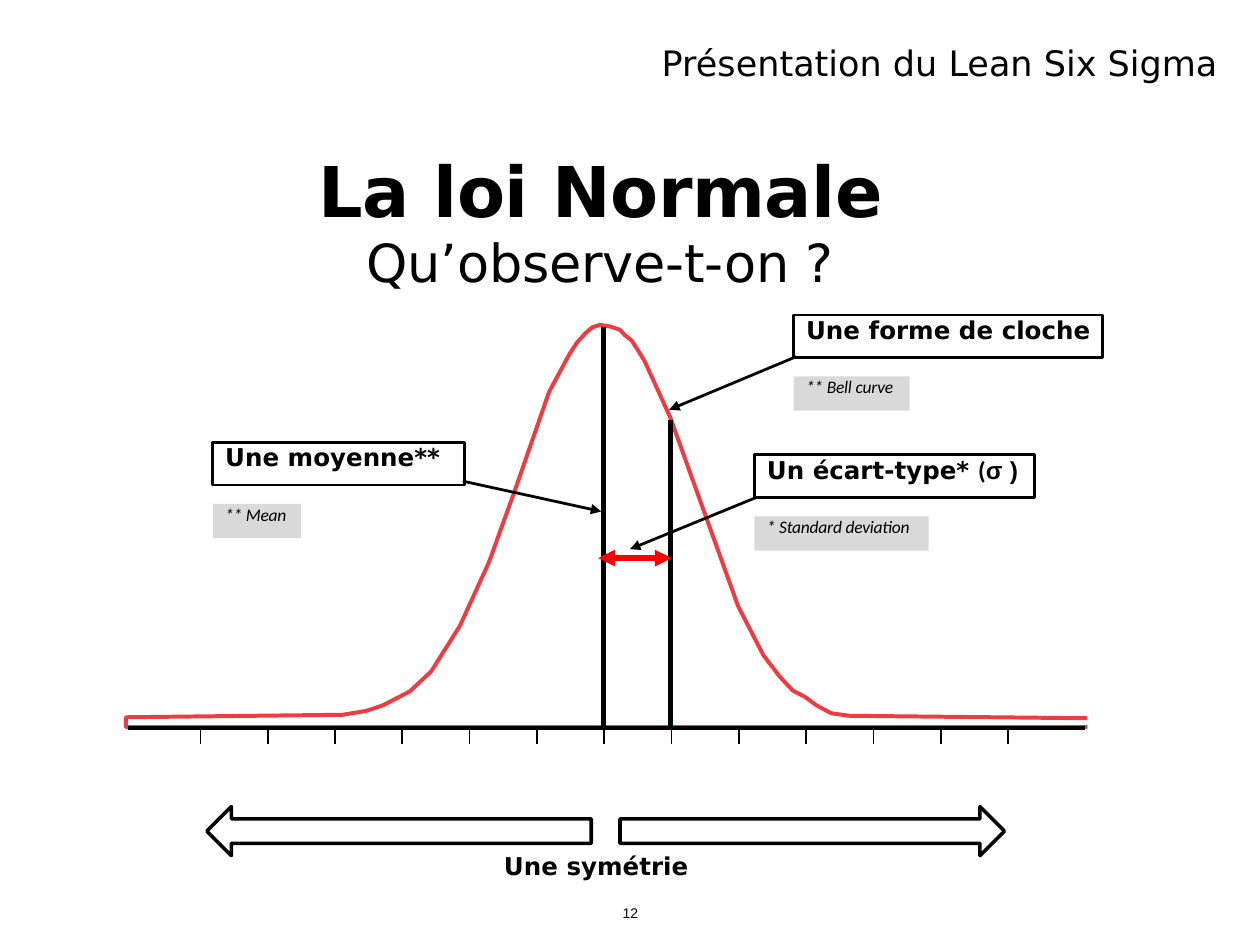
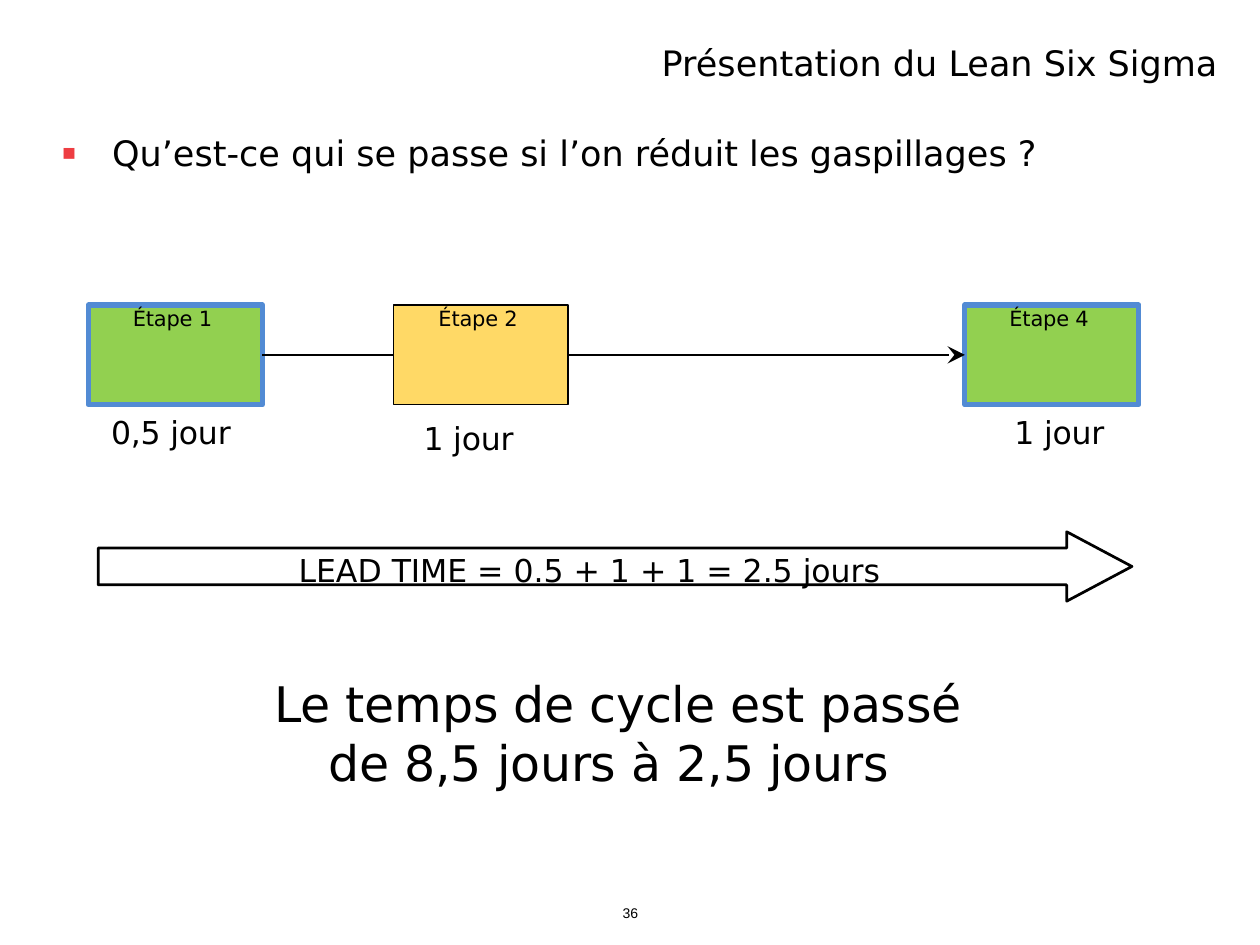
from lxml import etree
from pptx import Presentation
from pptx.dml.color import RGBColor
from pptx.enum.shapes import MSO_CONNECTOR, MSO_SHAPE, MSO_SHAPE_TYPE
from pptx.enum.text import MSO_ANCHOR, MSO_AUTO_SIZE, PP_ALIGN
from pptx.oxml.ns import qn
from pptx.util import Cm, Pt

RECTANGLE = MSO_SHAPE.RECTANGLE
LEFT_ARROW = MSO_SHAPE.LEFT_ARROW
RIGHT_ARROW = MSO_SHAPE.RIGHT_ARROW
STRAIGHT = MSO_CONNECTOR.STRAIGHT
LINE = MSO_SHAPE_TYPE.LINE
TOP = MSO_ANCHOR.TOP
LEFT = PP_ALIGN.LEFT
NO_FIT = MSO_AUTO_SIZE.NONE

BLACK, RED, CURVE_RED = "000000", "FF0000", "EE3D42"
GREY, GREEN, YELLOW, BLUE = "D9D9D9", "92D050", "FFD966", "528BD4"


def paint(fill, colour):
    """Fill a shape, line or font with a hex colour, or clear it with None."""
    if colour is None:
        fill.background()
    else:
        fill.solid()
        fill.fore_color.rgb = RGBColor.from_string(colour)


def write(box, text, size, bold=False, italic=False, font="DejaVu Sans", indent=0, spacing=0):
    """Add one run to the first paragraph of a box."""
    frame = box.text_frame
    frame.word_wrap = True
    frame.auto_size = NO_FIT
    frame.vertical_anchor = TOP
    frame.margin_left = Cm(indent)
    frame.margin_top = frame.margin_right = frame.margin_bottom = 0
    para = frame.paragraphs[0]
    para.alignment = LEFT
    span = para.add_run()
    span.text = text
    span.font.name = font
    span.font.size = Pt(size)
    span.font.bold = bold
    span.font.italic = italic
    paint(span.font.fill, BLACK)
    if spacing:
        span.font._element.set("spc", str(round(spacing * 100)))


deck = Presentation()
deck.slide_width, deck.slide_height = Cm(25.4), Cm(19.05)

# Shared header and page number
pages = []
for number in ("12", "36"):
    page = deck.slides.add_slide(deck.slide_layouts[5])
    title = page.shapes.title
    title.left, title.top, title.width, title.height = Cm(13.34), Cm(0.84), Cm(11.6), Cm(0.8)
    write(title, "Présentation du Lean Six Sigma", 20)
    box = page.shapes.add_textbox(Cm(12.55), Cm(18.24), Cm(0.6), Cm(0.36))
    write(box, number, 8, font="Arial")
    pages.append(page)
normal_page, cycle_page = pages
arrowheads = []  # (connector, element, kind, size)

# Normal law: headings and caption
for text, left, top, width, size, bold, spacing in (
    ("La loi Normale", 6.42, 2.97, 11.8, 40, True, -0.2),
    ("Qu’observe-t-on ?", 7.39, 4.63, 10, 30, False, -0.1),
    ("Une symétrie", 10.16, 17.15, 4.2, 14, True, 0),
):
    box = normal_page.shapes.add_textbox(Cm(left), Cm(top), Cm(width), Cm(size * 0.04))
    write(box, text, size, bold, spacing=spacing)

# Bell curve, in centimetres, drawn on a grid of hundredths
curve_points = [
    (21.92, 14.48), (17.12, 14.43), (16.76, 14.38), (16.46, 14.22), (16.23, 14.05),
    (15.98, 13.92), (15.72, 13.64), (15.39, 13.21), (14.88, 12.22), (13.51, 8.41),
    (13, 7.29), (12.88, 7.09), (12.73, 6.86), (12.6, 6.76), (12.5, 6.65),
    (12.29, 6.58), (12.09, 6.55), (11.94, 6.6), (11.79, 6.73), (11.63, 6.91),
    (11.48, 7.14), (11.07, 7.9), (10.39, 9.86), (9.86, 11.33), (9.27, 12.62),
    (8.69, 13.54), (8.26, 13.94), (7.72, 14.22), (7.39, 14.33), (6.91, 14.41),
    (2.54, 14.46), (2.54, 14.66), (21.92, 14.66),
]
grid_points = [(round(x * 100), round(y * 100)) for x, y in curve_points]
outline = normal_page.shapes.build_freeform(*grid_points[0], scale=Cm(0.01))
outline.add_line_segments(grid_points[1:], close=False)
curve = outline.convert_to_shape()
curve.shadow.inherit = False
paint(curve.fill, None)
paint(curve.line.fill, CURVE_RED)
curve.line.width = Pt(2.28)

# Axis, ticks, mean, deviation and callout arrows
first_tick, last_tick, tick_count = 4.04, 20.32, 13
tick_gap = (last_tick - first_tick) / (tick_count - 1)
lines = [
    (2.59, 14.68, 21.87, 14.68, BLACK, 2.5, ()),
    (12.17, 14.63, 12.17, 6.6, BLACK, 3, ()),
    (13.51, 14.66, 13.51, 8.46, BLACK, 3, ()),
    (12.06, 11.25, 13.54, 11.25, RED, 3.2, ("headEnd", "tailEnd")),
    (9.33, 9.7, 12.12, 10.31, BLACK, 1.6, ("tailEnd",)),
    (15.24, 10.03, 12.7, 11.07, BLACK, 1.6, ("tailEnd",)),
    (16.05, 7.19, 13.49, 8.26, BLACK, 1.6, ("tailEnd",)),
]
for index in range(tick_count):
    tick = first_tick + index * tick_gap
    lines.append((tick, 14.66, tick, 14.99, BLACK, 0.96, ()))
for x1, y1, x2, y2, colour, width, ends in lines:
    connector = normal_page.shapes.add_connector(STRAIGHT, Cm(x1), Cm(y1), Cm(x2), Cm(y2))
    paint(connector.line.fill, colour)
    connector.line.width = Pt(width)
    arrowheads += [(connector, end, "triangle", "med") for end in ends]

# Callouts, each with its English term below
for label, left, top, width, note, note_width in (
    ("Une moyenne**", 4.29, 8.92, 5.08, "** Mean", 1.78),
    ("Un écart-type* ", 15.21, 9.17, 5.65, "* Standard deviation", 3.51),
    ("Une forme de cloche", 16, 6.35, 6.22, "** Bell curve", 2.34),
):
    callout = normal_page.shapes.add_shape(RECTANGLE, Cm(left), Cm(top), Cm(width), Cm(0.86))
    callout.shadow.inherit = False
    paint(callout.fill, None)
    paint(callout.line.fill, BLACK)
    callout.line.width = Pt(1.56)
    write(callout, label, 14, bold=True, indent=0.25)
    if "écart-type" in label:
        write(callout, "(", 14, bold=True, font="Calibri", indent=0.25)
        write(callout, "σ", 14, bold=True, font="Arial", indent=0.25, spacing=4.2)
        write(callout, ")", 14, bold=True, font="Arial", indent=0.25)
    term = normal_page.shapes.add_shape(
        RECTANGLE, Cm(left), Cm(top + 1.24), Cm(note_width), Cm(0.69))
    term.shadow.inherit = False
    paint(term.fill, GREY)
    paint(term.line.fill, None)
    write(term, note, 10, italic=True, font="Calibri", indent=0.25, spacing=-0.1)

# Block arrows: symmetry, then lead time
for page, kind, left, top, width, height, shaft, tip, weight in (
    (normal_page, LEFT_ARROW, 4.17, 16.26, 7.75, 0.99, 0.5, 0.5, 2.04),
    (normal_page, RIGHT_ARROW, 12.5, 16.26, 7.75, 0.99, 0.5, 0.5, 2.04),
    (cycle_page, RIGHT_ARROW, 1.98, 10.72, 20.84, 1.4, 0.53, 0.94, 1.56),
):
    arrow = page.shapes.add_shape(kind, Cm(left), Cm(top), Cm(width), Cm(height))
    arrow.shadow.inherit = False
    arrow.adjustments[0], arrow.adjustments[1] = shaft, tip
    paint(arrow.fill, None)
    paint(arrow.line.fill, BLACK)
    arrow.line.width = Pt(weight)

# Cycle time: bulleted question
question = cycle_page.shapes.add_textbox(Cm(1.22), Cm(2.65), Cm(20.5), Cm(0.97))
properties = question.text_frame.paragraphs[0]._p.get_or_add_pPr()
properties.set("marL", str(Cm(1.04)))
properties.set("indent", str(-Cm(1.02)))
bullet_colour = etree.SubElement(properties, qn("a:buClr"))
etree.SubElement(bullet_colour, qn("a:srgbClr")).set("val", CURVE_RED)
etree.SubElement(properties, qn("a:buSzPct")).set("val", "125000")
etree.SubElement(properties, qn("a:buFont")).set("typeface", "Arial")
etree.SubElement(properties, qn("a:buChar")).set("char", "▪")
write(question, "Qu’est-ce qui se passe si l’on réduit les gaspillages ?", 20)

# Process steps and their durations
steps = []
for name, left, fill, edge, weight, duration, text_left, text_top in (
    ("Étape 1", 1.78, GREEN, BLUE, 3, "0,5 jour", 2.24, 8.33),
    ("Étape 2", 7.94, YELLOW, BLACK, 0.72, "1 jour", 8.54, 8.45),
    ("Étape 4", 19.45, GREEN, BLUE, 3, "1 jour", 20.45, 8.33),
):
    step = cycle_page.shapes.add_shape(RECTANGLE, Cm(left), Cm(6.15), Cm(3.51), Cm(2.01))
    step.shadow.inherit = False
    paint(step.fill, fill)
    paint(step.line.fill, edge)
    step.line.width = Pt(weight)
    write(step, name, 12, indent=0.9, spacing=-0.1)
    steps.append(step)
    box = cycle_page.shapes.add_textbox(Cm(text_left), Cm(text_top), Cm(2.8), Cm(0.71))
    write(box, duration, 18, spacing=-0.1)

# Flow between the steps
for start, end in zip(steps, steps[1:]):
    connector = cycle_page.shapes.add_connector(STRAIGHT, 0, 0, 0, 0)
    connector.begin_connect(start, 3)
    connector.end_connect(end, 1)
    paint(connector.line.fill, BLACK)
    connector.line.width = Pt(1.2)
arrowheads.append((connector, "tailEnd", "stealth", "lg"))

# Lead time and conclusion
lead_time = cycle_page.shapes.add_textbox(Cm(6.02), Cm(11.1), Cm(12.5), Cm(0.74))
write(lead_time, "LEAD TIME = 0.5 + 1 + 1 = 2.5 jours", 18)
conclusion = cycle_page.shapes.add_textbox(Cm(5.5), Cm(13.58), Cm(14.4), Cm(2.32))
properties = conclusion.text_frame.paragraphs[0]._p.get_or_add_pPr()
properties.set("marL", str(Cm(1.12)))
properties.set("indent", str(-Cm(1.09)))
write(conclusion, "Le temps de cycle est passé de 8,5 jours à 2,5 jours", 28, spacing=-0.1)

# Arrowheads, and no shadow on connectors
for connector, end, kind, size in arrowheads:
    head = etree.SubElement(connector.line._get_or_add_ln(), qn("a:" + end))
    head.set("type", kind)
    head.set("w", size)
    head.set("len", size)
for page in deck.slides:
    for shape in page.shapes:
        if shape.shape_type == LINE:
            etree.SubElement(shape._element.spPr, qn("a:effectLst"))

deck.save("out.pptx")
